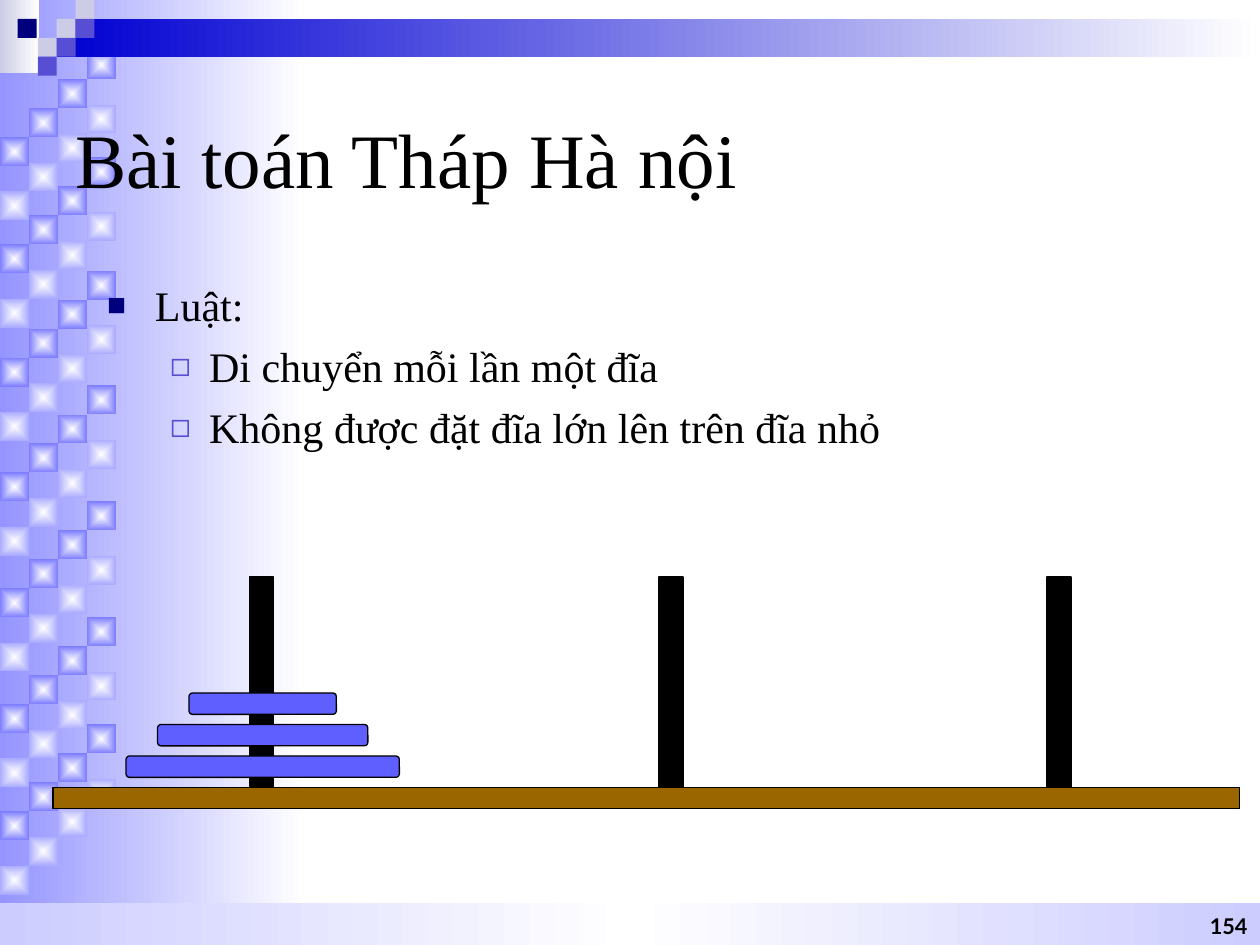
from lxml import etree
from pptx import Presentation
from pptx.dml.color import RGBColor
from pptx.enum import shapes, text
from pptx.oxml import parse_xml
from pptx.oxml.ns import qn, nsdecls
from pptx.util import Inches, Pt

# Content
TITLE = "Bài toán Tháp Hà nội"
RULES = [
    (0, "Luật:"),
    (1, "Di chuyển mỗi lần một đĩa"),
    (1, "Không được đặt đĩa lớn lên trên đĩa nhỏ"),
]
PAGE_NUMBER = "154"
# Per level: bullet, colour, size in percent, left margin, hanging indent
BULLETS = [("■", "00007D", 75, 0.38, 0.38), ("◻", "584ED4", 80, 0.81, 0.31)]

# Decoration
TILE = 0.23
TILE_TOPS = [0.4, 1.25, 2.15, 3.06, 3.98, 4.9, 5.75]
TILE_TINTS = [(0, "7D7DFF"), (0.43, "ABABFF")]
BANDS = [
    ((0, 7.17, 10, 0.33), ["CCCCFF", "FFFFFF", "CCCCFF"]),
    ((0, 0, 0.31, 0.58), ["CCCCE6", "FFFFFF"]),
    ((0.45, 0.15, 9.55, 0.3), ["0000D2", "FFFFFF"]),
]
CORNER_SQUARES = [
    (0.45, 0.15, "CCCCE6"), (0.6, 0, "CCCCE6"), (0.6, 0.15, "584ED4"),
    (0.3, 0.3, "CCCCE6"), (0.14, 0.15, "00007D"), (0.45, 0.3, "584ED4"),
    (0.3, 0.45, "584ED4"),
]

# Towers
BASE = (0.42, 6.25, 9.42, 0.17)
PEG_LEFTS = [1.98, 5.23, 8.31]
DISK_WIDTHS = [2.17, 1.67, 1.17]

RECT = shapes.MSO_SHAPE.RECTANGLE
ROUND = shapes.MSO_SHAPE.ROUNDED_RECTANGLE


def color(value):
    return RGBColor.from_string(value)


def add_block(page, place, fill, line=None, kind=RECT):
    block = page.shapes.add_shape(kind, *map(Inches, place))
    block.shadow.inherit = False
    block.fill.solid()
    block.fill.fore_color.rgb = color(fill)
    if line:
        block.line.color.rgb = color(line)
        block.line.width = Pt(0.75)
    else:
        block.line.fill.background()
    return block


def add_gradient(page, place, colors, centred=False):
    block = add_block(page, place, colors[0])
    step = 100000 // (len(colors) - 1)
    stops = "".join(
        f'<a:gs pos="{i * step}"><a:srgbClr val="{value}"/></a:gs>'
        for i, value in enumerate(colors))
    direction = '<a:lin ang="0" scaled="1"/>'
    if centred:
        direction = ('<a:path path="rect"><a:fillToRect l="50000" t="50000" '
                     'r="50000" b="50000"/></a:path>')
    gradient = parse_xml(f'<a:gradFill {nsdecls("a")} rotWithShape="1">'
                         f'<a:gsLst>{stops}</a:gsLst>{direction}</a:gradFill>')
    properties = block._element.spPr
    properties.replace(properties.find(qn("a:solidFill")), gradient)


def add_bullet(para, level):
    mark, tint, size, margin, hang = BULLETS[level]
    properties = para._p.get_or_add_pPr()
    properties.set("marL", str(Inches(margin)))
    properties.set("indent", str(-Inches(hang)))
    holder = etree.SubElement(properties, qn("a:buClr"))
    etree.SubElement(holder, qn("a:srgbClr"), val=tint)
    etree.SubElement(properties, qn("a:buSzPct"), val=str(size * 1000))
    etree.SubElement(properties, qn("a:buChar"), char=mark)


def write(para, words, size, align, name="Times New Roman", bold=False):
    para.alignment = align
    span = para.add_run()
    span.text = words
    span.font.color.rgb = color("000000")
    for key, value in {"size": Pt(size), "name": name, "bold": bold}.items():
        setattr(span.font, key, value)


def prepare(box, place, anchor):
    for key, value in zip(("left", "top", "width", "height"), place):
        setattr(box, key, Inches(value))
    frame = box.text_frame
    formats = {"word_wrap": True, "vertical_anchor": anchor,
               "auto_size": text.MSO_AUTO_SIZE.NONE}
    for key, value in formats.items():
        setattr(frame, key, value)
    return frame


def main():
    deck = Presentation()
    deck.slide_width, deck.slide_height = Inches(10), Inches(7.5)
    page = deck.slides.add_slide(deck.slide_layouts[1])
    title, body = page.placeholders

    # Background: side fade, diagonal tiles, bands and corner squares
    add_gradient(page, (0, 0, 2.42, 7.5), ["9595FF", "FFFFFF"])
    for top in TILE_TOPS:
        for drop, tint in TILE_TINTS:
            for column in range(4):
                place = (column * TILE, top + drop + (3 - column) * TILE,
                         TILE, TILE)
                add_gradient(page, place, ["FFFFFF", tint], centred=True)
    for place, colors in BANDS:
        add_gradient(page, place, colors)
    for left, top, fill in CORNER_SQUARES:
        add_block(page, (left, top, 0.15, 0.15), fill)

    # Page number
    box = page.shapes.add_textbox(0, 0, 0, 0)
    frame = prepare(box, (7.67, 7.17, 2.33, 0.33), text.MSO_ANCHOR.BOTTOM)
    para = frame.paragraphs[0]
    para.line_spacing = 0.8
    write(para, PAGE_NUMBER, 12.4, text.PP_ALIGN.RIGHT, "Lato", True)

    # Title and rules, brought in front of the background
    for holder in (title, body):
        page.shapes._spTree.append(holder._element)
    frame = prepare(title, (0.5, 0.5, 9, 1.5), text.MSO_ANCHOR.MIDDLE)
    write(frame.paragraphs[0], TITLE, 44, text.PP_ALIGN.LEFT)
    frame = prepare(body, (0.75, 2.17, 8.5, 4.5), text.MSO_ANCHOR.TOP)
    for i, (level, words) in enumerate(RULES):
        para = frame.add_paragraph() if i else frame.paragraphs[0]
        para.level = level
        para.space_before = Pt(6 if i else 0)
        add_bullet(para, level)
        write(para, words, 24, text.PP_ALIGN.JUSTIFY)

    # Base, pegs and disks
    add_block(page, BASE, "996600", "000000")
    for left in PEG_LEFTS:
        add_block(page, (left, 4.58, 0.19, 1.67), "000000", "000000")
    for i, width in enumerate(DISK_WIDTHS):
        place = (1 + 0.25 * i, 6 - 0.25 * i, width, 0.17)
        add_block(page, place, "5F5FFF", "000000", ROUND)

    deck.save("out.pptx")


if __name__ == "__main__":
    main()
